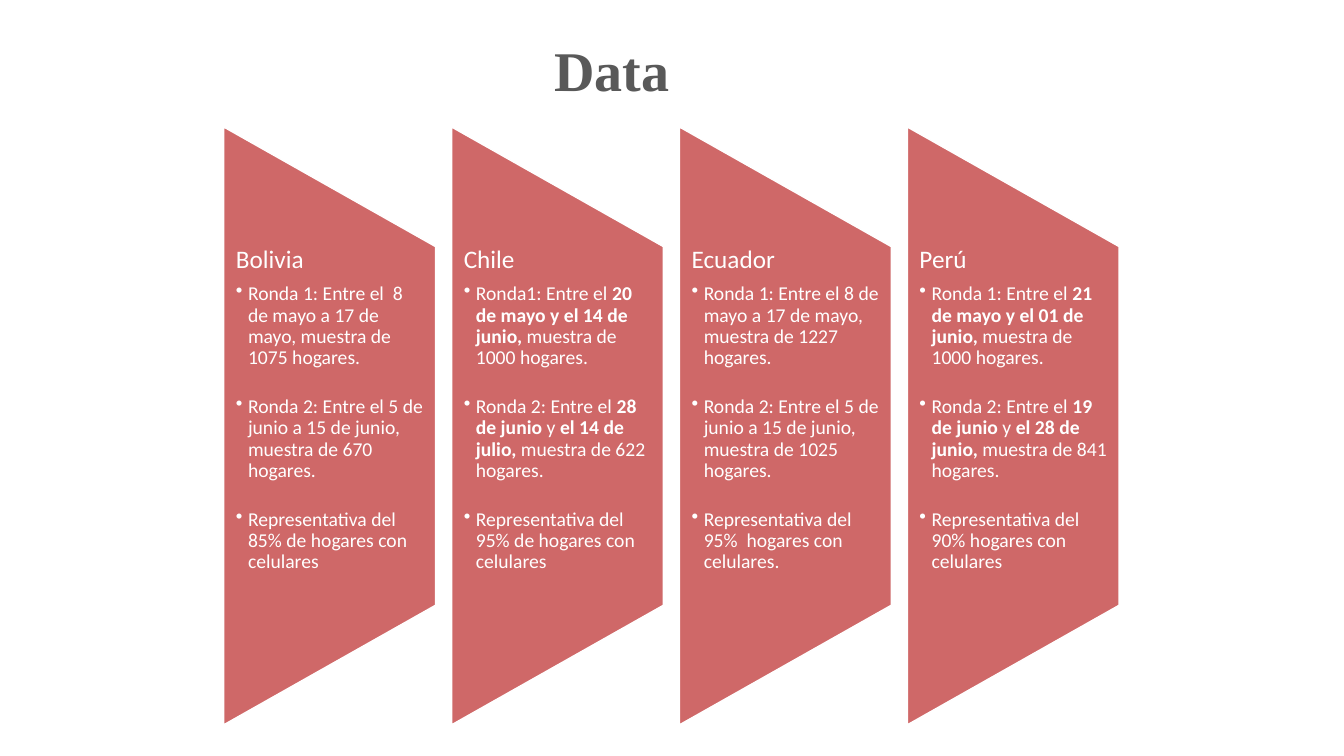
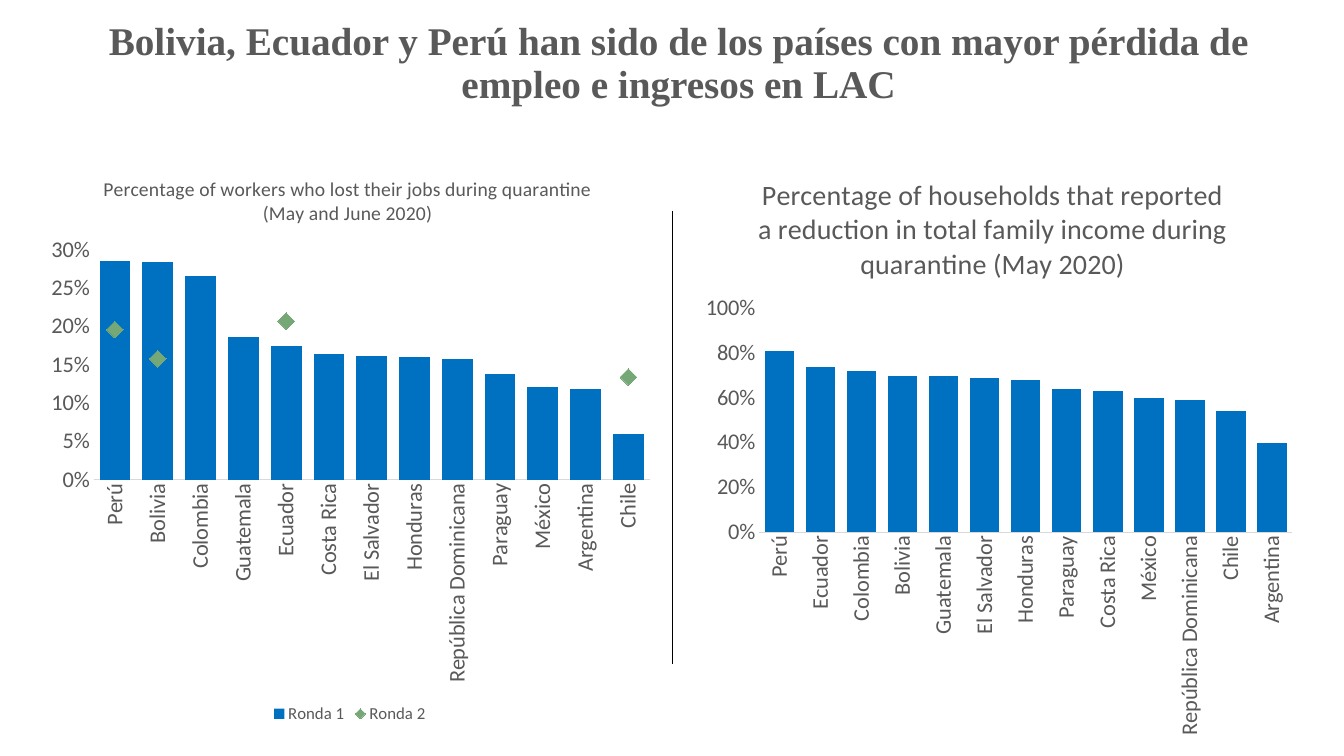
"""Build two slides on household survey data and job losses in Latin America."""
from dataclasses import dataclass
from typing import Optional

from lxml.etree import SubElement
from pptx import Presentation
from pptx.chart.chart import Chart
from pptx.chart.data import CategoryChartData
from pptx.dml.color import RGBColor
from pptx.enum.chart import XL_CHART_TYPE, XL_LEGEND_POSITION, XL_TICK_MARK
from pptx.enum.shapes import MSO_CONNECTOR, MSO_SHAPE
from pptx.enum.text import MSO_ANCHOR, PP_ALIGN
from pptx.oxml import parse_xml
from pptx.oxml.ns import nsdecls, qn
from pptx.slide import Slide
from pptx.text.text import Font, _Paragraph
from pptx.util import Inches, Pt

GREY = RGBColor(0x59, 0x59, 0x59)
LIGHT_GREY = RGBColor(0xD9, 0xD9, 0xD9)
RED = RGBColor(0xCF, 0x68, 0x68)
BLUE = RGBColor(0x00, 0x70, 0xC0)
GREEN = RGBColor(0x76, 0xA7, 0x76)
WHITE = RGBColor(0xFF, 0xFF, 0xFF)
BLACK = RGBColor(0x00, 0x00, 0x00)

TITLE_FONT = "Times New Roman"
BODY_FONT = "Calibri"

CARD_LEFT = 2.22
CARD_TOP = 1.26
CARD_PITCH = 2.26
CARD_WIDTH = 2.1
CARD_HEIGHT = 5.93
CARD_TEXT_TOP = 2.45
CARD_TEXT_HEIGHT = 3.56


@dataclass(frozen=True)
class Box:
    left: float
    top: float
    width: float
    height: float


@dataclass(frozen=True)
class CountryCard:
    """Country name and bullets; double asterisks enclose bold text."""

    country: str
    bullets: tuple[str, ...]


@dataclass(frozen=True)
class ColumnChart:
    title: str
    title_size: int
    title_top: float
    box: Box
    plot: Box
    overlap: int
    maximum: float
    major_unit: float
    categories: tuple[str, ...]
    series: dict[str, tuple[Optional[float], ...]]


CARDS = (
    CountryCard("Bolivia", (
        "Ronda 1: Entre el  8 de mayo a 17 de mayo, muestra de 1075 hogares.",
        "Ronda 2: Entre el 5 de junio a 15 de junio, muestra de 670 hogares.",
        "Representativa del 85% de hogares con celulares",
    )),
    CountryCard("Chile", (
        "Ronda1: Entre el **20 de mayo y el 14 de junio, **muestra de 1000 hogares.",
        "Ronda 2: Entre el **28 de junio** y **el 14 de julio, **muestra de 622 hogares.",
        "Representativa del 95% de hogares con celulares",
    )),
    CountryCard("Ecuador", (
        "Ronda 1: Entre el 8 de mayo a 17 de mayo, muestra de 1227 hogares.",
        "Ronda 2: Entre el 5 de junio a 15 de junio, muestra de 1025 hogares.",
        "Representativa del 95%  hogares con celulares.",
    )),
    CountryCard("Perú", (
        "Ronda 1: Entre el **21 de mayo y el 01 de junio, **muestra de 1000 hogares.",
        "Ronda 2: Entre el **19 de junio** y **el 28 de junio, **muestra de 841 hogares.",
        "Representativa del 90% hogares con celulares",
    )),
)

INCOME_CHART = ColumnChart(
    title="Percentage of households that reported a reduction in total family "
          "income during quarantine (May 2020)",
    title_size=20,
    title_top=0.04,
    box=Box(6.86, 1.44, 6.08, 6),
    plot=Box(0.11, 0.27, 0.87, 0.37),
    overlap=92,
    maximum=1,
    major_unit=0.2,
    categories=("Perú", "Ecuador", "Colombia", "Bolivia", "Guatemala", "El Salvador",
                "Honduras", "Paraguay", "Costa Rica", "México",
                "República Dominicana", "Chile", "Argentina"),
    series={"Series 1": (0.81, 0.74, 0.72, 0.7, 0.7, 0.69, 0.68,
                         0.64, 0.63, 0.6, 0.59, 0.54, 0.4)},
)

JOBS_CHART = ColumnChart(
    title="Percentage of workers who lost their jobs during quarantine "
          "(May and June 2020)",
    title_size=14,
    title_top=0.08,
    box=Box(0.37, 1.22, 6.2, 6),
    plot=Box(0.09, 0.21, 0.89, 0.38),
    overlap=-27,
    maximum=0.3,
    major_unit=0.05,
    categories=("Perú", "Bolivia", "Colombia", "Guatemala", "Ecuador", "Costa Rica",
                "El Salvador", "Honduras", "República Dominicana", "Paraguay",
                "México", "Argentina", "Chile"),
    series={
        "Ronda 1": (0.285, 0.284, 0.266, 0.186, 0.175, 0.164, 0.162,
                    0.16, 0.157, 0.138, 0.121, 0.118, 0.06),
        "Ronda 2": (0.196, 0.158, None, None, 0.207, None, None,
                    None, None, None, None, None, 0.134),
    },
)


def place(box: Box) -> tuple[int, int, int, int]:
    return Inches(box.left), Inches(box.top), Inches(box.width), Inches(box.height)


def style_font(font: Font, size: int, color: RGBColor, name: str = BODY_FONT,
               bold: bool = False) -> None:
    font.size, font.name, font.bold = Pt(size), name, bold
    font.color.rgb = color


def add_title(slide: Slide, text: str, box: Box, size: int) -> None:
    frame = slide.shapes.add_textbox(*place(box)).text_frame
    frame.word_wrap = True
    frame.vertical_anchor = MSO_ANCHOR.MIDDLE
    paragraph = frame.paragraphs[0]
    paragraph.alignment = PP_ALIGN.CENTER
    paragraph.line_spacing = 0.9
    run = paragraph.add_run()
    run.text = text
    style_font(run.font, size, GREY, TITLE_FONT, True)


def add_marked_runs(paragraph: _Paragraph, text: str, size: int) -> None:
    for index, part in enumerate(text.split("**")):
        if part:
            run = paragraph.add_run()
            run.text = part
            style_font(run.font, size, WHITE, bold=index % 2 == 1)


def add_bullet(paragraph: _Paragraph) -> None:
    properties = paragraph._p.get_or_add_pPr()
    properties.set("marL", str(Inches(0.12)))
    properties.set("indent", str(Inches(-0.12)))
    SubElement(properties, qn("a:buChar")).set("char", "•")


def add_card(slide: Slide, card: CountryCard, left: float) -> None:
    shape = slide.shapes.add_shape(
        MSO_SHAPE.FLOWCHART_MANUAL_OPERATION,
        Inches(left + (CARD_WIDTH - CARD_HEIGHT) / 2),
        Inches(CARD_TOP + (CARD_HEIGHT - CARD_WIDTH) / 2),
        Inches(CARD_HEIGHT), Inches(CARD_WIDTH))
    shape.rotation = 270
    shape.shadow.inherit = False
    shape.fill.solid()
    shape.fill.fore_color.rgb = RED
    shape.line.color.rgb = WHITE
    shape.line.width = Pt(1)

    frame = slide.shapes.add_textbox(
        *place(Box(left, CARD_TEXT_TOP, CARD_WIDTH, CARD_TEXT_HEIGHT))).text_frame
    frame.word_wrap = True
    frame.margin_left = frame.margin_right = Inches(0.12)
    frame.margin_top = frame.margin_bottom = 0
    heading = frame.paragraphs[0]
    heading.line_spacing = 0.9
    heading.space_after = Pt(7)
    add_marked_runs(heading, card.country, 18)
    for text in card.bullets:
        paragraph = frame.add_paragraph()
        paragraph.line_spacing = 0.9
        paragraph.space_after = Pt(20)
        add_bullet(paragraph)
        add_marked_runs(paragraph, text, 14)


def layout_xml(settings: dict[str, object]):
    items = "".join(f'<c:{tag} val="{value}"/>' for tag, value in settings.items())
    return parse_xml(f'<c:layout {nsdecls("c")}><c:manualLayout>{items}'
                     "</c:manualLayout></c:layout>")


def set_layouts(chart: Chart, source: ColumnChart) -> None:
    title = chart.chart_title._element
    plot_area = chart._chartSpace.chart.plotArea
    for parent in (title, plot_area):
        for layout in parent.findall(qn("c:layout")):
            parent.remove(layout)
    title.find(qn("c:tx")).addnext(layout_xml(
        {"xMode": "edge", "yMode": "edge", "x": 0.1, "y": source.title_top}))
    plot = source.plot
    plot_area.insert(0, layout_xml(
        {"layoutTarget": "inner", "xMode": "edge", "yMode": "edge",
         "x": plot.left, "y": plot.top, "w": plot.width, "h": plot.height}))


def move_to_markers(chart: Chart) -> None:
    """Turn the second column series into diamond markers on the same axes."""
    bar_chart = chart._chartSpace.chart.plotArea.find(qn("c:barChart"))
    series = bar_chart.findall(qn("c:ser"))[1]
    for tag in ("c:invertIfNegative", "c:spPr"):
        for element in series.findall(qn(tag)):
            series.remove(element)
    fill = f'<a:solidFill><a:srgbClr val="{GREEN}"/></a:solidFill>'
    marker = parse_xml(
        f'<c:marker {nsdecls("c", "a")}><c:symbol val="diamond"/><c:size val="12"/>'
        f"<c:spPr>{fill}<a:ln>{fill}</a:ln></c:spPr></c:marker>")
    no_line = parse_xml(f'<c:spPr {nsdecls("c", "a")}><a:ln><a:noFill/></a:ln></c:spPr>')
    series.find(qn("c:tx")).addnext(no_line)
    no_line.addnext(marker)
    SubElement(series, qn("c:smooth")).set("val", "0")
    axes = "".join(f'<c:axId val="{axis.get("val")}"/>'
                   for axis in bar_chart.findall(qn("c:axId")))
    line_chart = parse_xml(
        f'<c:lineChart {nsdecls("c")}><c:grouping val="standard"/>'
        f'<c:varyColors val="0"/><c:marker val="1"/>{axes}</c:lineChart>')
    line_chart.insert(2, series)
    bar_chart.addnext(line_chart)


def add_column_chart(slide: Slide, source: ColumnChart) -> None:
    data = CategoryChartData(number_format="0%")
    data.categories = source.categories
    for name, values in source.series.items():
        data.add_series(name, values)
    chart = slide.shapes.add_chart(
        XL_CHART_TYPE.COLUMN_CLUSTERED, *place(source.box), data).chart
    style_font(chart.font, 10, BLACK)

    chart.has_title = True
    run = chart.chart_title.text_frame.paragraphs[0].add_run()
    run.text = source.title
    style_font(run.font, source.title_size, GREY)
    chart.chart_title.include_in_layout = False

    plot = chart.plots[0]
    plot.gap_width, plot.overlap, plot.vary_by_categories = 39, source.overlap, False
    fill = plot.series[0].format.fill
    fill.solid()
    fill.fore_color.rgb = BLUE

    category_axis, value_axis = chart.category_axis, chart.value_axis
    for axis in (category_axis, value_axis):
        axis.has_major_gridlines = False
        axis.major_tick_mark = axis.minor_tick_mark = XL_TICK_MARK.NONE
        style_font(axis.tick_labels.font, 16, GREY)
    category_axis._element.find(qn("c:txPr")).find(qn("a:bodyPr")).set("rot", "-5400000")
    category_axis.format.line.color.rgb = LIGHT_GREY
    category_axis.format.line.width = Pt(0.75)
    value_axis.format.line.fill.background()
    value_axis.minimum_scale, value_axis.maximum_scale = 0, source.maximum
    value_axis.major_unit = source.major_unit
    value_axis.tick_labels.number_format = "0%"
    value_axis.tick_labels.number_format_is_linked = False

    chart.has_legend = len(source.series) > 1
    if chart.has_legend:
        chart.legend.position = XL_LEGEND_POSITION.BOTTOM
        chart.legend.include_in_layout = False
        style_font(chart.legend.font, 12, GREY)
        move_to_markers(chart)
    set_layouts(chart, source)


def add_divider(slide: Slide) -> None:
    line = slide.shapes.add_connector(
        MSO_CONNECTOR.STRAIGHT, Inches(6.67), Inches(2.09), Inches(6.67), Inches(6.59))
    line.line.color.rgb = BLACK
    line.line.width = Pt(0.5)
    SubElement(line._element.spPr, qn("a:effectLst"))


def main() -> None:
    presentation = Presentation()
    presentation.slide_width, presentation.slide_height = Inches(13.33), Inches(7.5)
    blank = presentation.slide_layouts[6]

    data_slide = presentation.slides.add_slide(blank)
    add_title(data_slide, "Data", Box(0.32, 0, 11.5, 1.45), 40)
    for index, card in enumerate(CARDS):
        add_card(data_slide, card, CARD_LEFT + index * CARD_PITCH)

    losses_slide = presentation.slides.add_slide(blank)
    add_title(losses_slide, "Bolivia, Ecuador y Perú han sido de los países con mayor "
              "pérdida de empleo e ingresos en LAC", Box(0.52, 0.16, 12.42, 0.96), 28)
    add_column_chart(losses_slide, INCOME_CHART)
    add_divider(losses_slide)
    add_column_chart(losses_slide, JOBS_CHART)

    presentation.save("out.pptx")


if __name__ == "__main__":
    main()
